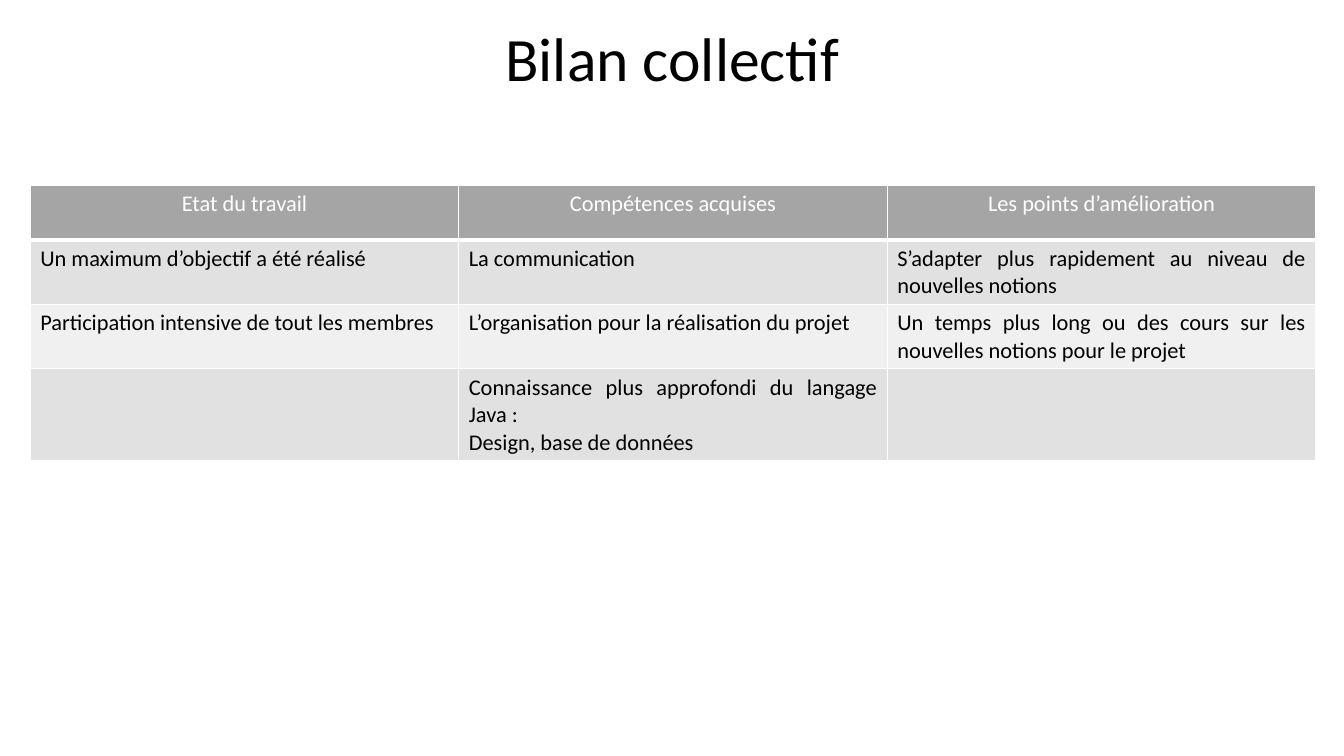
import dataclasses

import lxml.etree
import pptx
import pptx.dml.color
import pptx.enum.text
import pptx.oxml.ns
import pptx.util

Inches = pptx.util.Inches
Pt = pptx.util.Pt
Align = pptx.enum.text.PP_ALIGN


@dataclasses.dataclass(frozen=True)
class Theme:
    font: str = "Calibri"
    title_size: int = 44
    table_size: int = 16
    ink: str = "000000"
    paper: str = "FFFFFF"
    header: str = "A5A5A5"
    bands: tuple = ("E1E1E1", "F0F0F0")
    border_width: int = 1
    header_rule_width: int = 3


HEADINGS = ["Etat du travail", "Compétences acquises", "Les points d’amélioration"]
BODY = [
    [
        "Un maximum d’objectif a été réalisé",
        "La communication",
        "S’adapter plus rapidement au niveau de nouvelles notions",
    ],
    [
        "Participation intensive de tout les membres",
        "L’organisation pour la réalisation du projet",
        "Un temps plus long ou des cours sur les nouvelles notions pour le projet",
    ],
    ["", "Connaissance plus approfondi du langage Java :\nDesign, base de données", ""],
]
ROW_HEIGHTS = [0.54, 0.64, 0.64, 0.91]


def rgb(color):
    return pptx.dml.color.RGBColor.from_string(color)


class SlideBuilder:
    def __init__(self, slide, theme):
        self.slide = slide
        self.theme = theme

    def style(self, para, size, color, alignment):
        para.alignment = alignment
        para.font.name = self.theme.font
        para.font.size = Pt(size)
        para.font.bold = False
        para.font.color.rgb = rgb(color)

    def title(self, text, left, top, width, height):
        box = self.slide.shapes.add_textbox(
            Inches(left), Inches(top), Inches(width), Inches(height)
        )
        frame = box.text_frame
        frame.word_wrap = True
        frame.margin_left = frame.margin_right = Inches(0.05)
        frame.margin_top = frame.margin_bottom = Inches(0.05)
        para = frame.paragraphs[0]
        para.text = text
        para.line_spacing = 0.9
        para.space_before = Pt(10)
        self.style(para, self.theme.title_size, self.theme.ink, Align.CENTER)

    def borders(self, cell, top_width, bottom_width):
        """Draw all four sides; border lines must precede the fill in the cell XML."""
        side_width = self.theme.border_width
        widths = {"L": side_width, "R": side_width, "T": top_width, "B": bottom_width}
        properties = cell._tc.get_or_add_tcPr()
        qn = pptx.oxml.ns.qn
        for index, (side, width) in enumerate(widths.items()):
            line = lxml.etree.Element(qn(f"a:ln{side}"), w=str(Pt(width)))
            fill = lxml.etree.SubElement(line, qn("a:solidFill"))
            lxml.etree.SubElement(fill, qn("a:srgbClr"), val=self.theme.paper)
            properties.insert(index, line)

    def cell(self, cell, text, fill, color, alignment):
        cell.fill.solid()
        cell.fill.fore_color.rgb = rgb(fill)
        cell.text = text
        for para in cell.text_frame.paragraphs:
            self.style(para, self.theme.table_size, color, alignment)

    def table(self, headings, body, left, top, column_width, row_heights):
        theme = self.theme
        rows = [headings] + body
        table = self.slide.shapes.add_table(
            len(rows), len(headings), Inches(left), Inches(top),
            Inches(column_width * len(headings)), Inches(sum(row_heights)),
        ).table
        for column in table.columns:
            column.width = Inches(column_width)
        for r, (texts, height) in enumerate(zip(rows, row_heights)):
            table.rows[r].height = Inches(height)
            if r == 0:
                look = (theme.header, theme.paper, Align.CENTER)
            else:
                look = (theme.bands[(r - 1) % 2], theme.ink, Align.JUSTIFY)
            top_width = theme.header_rule_width if r == 1 else theme.border_width
            bottom_width = theme.header_rule_width if r == 0 else theme.border_width
            for c, text in enumerate(texts):
                self.cell(table.cell(r, c), text, *look)
                self.borders(table.cell(r, c), top_width, bottom_width)


def main():
    deck = pptx.Presentation()
    deck.slide_width = Inches(13.33)
    deck.slide_height = Inches(7.5)
    page = SlideBuilder(deck.slides.add_slide(deck.slide_layouts[6]), Theme())
    page.title("Bilan collectif", 1.67, 0.23, 10, 0.83)
    page.table(HEADINGS, BODY, 0.3, 1.84, 4.25, ROW_HEIGHTS)
    deck.save("out.pptx")


if __name__ == "__main__":
    main()
